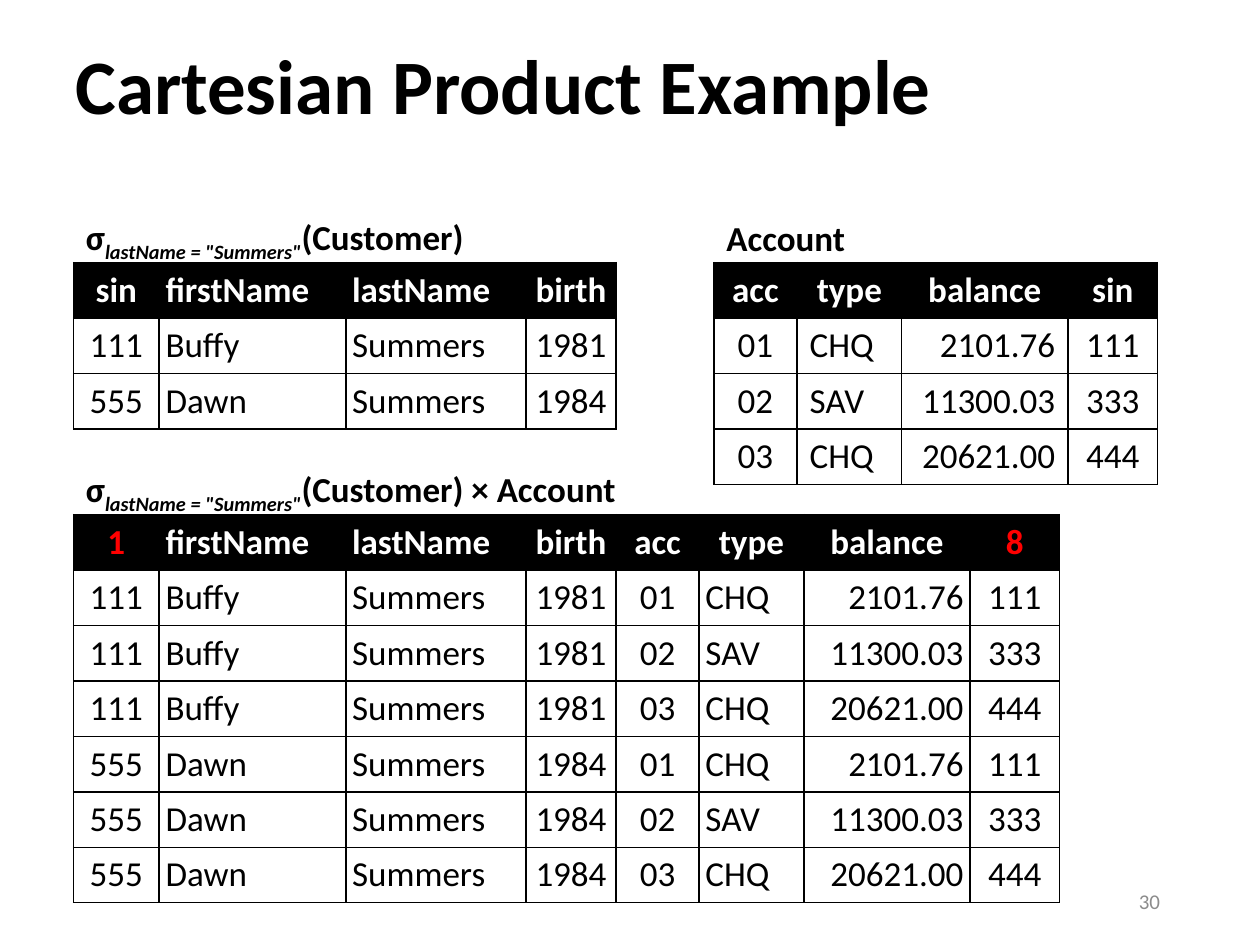
from itertools import product
from lxml.etree import SubElement as Sub
from pptx import Presentation
from pptx.dml.color import RGBColor
from pptx.enum.text import MSO_ANCHOR as Anchor, PP_ALIGN as Align
from pptx.oxml.ns import qn
from pptx.util import Pt

BLACK = RGBColor(0x00, 0x00, 0x00)
WHITE = RGBColor(0xFF, 0xFF, 0xFF)
RED = RGBColor(0xFF, 0x00, 0x00)
GRAY = RGBColor(0x8C, 0x8C, 0x8C)
SIDES = {"l": Align.LEFT, "c": Align.CENTER, "r": Align.RIGHT}


class Deck:
    face = "Calibri"
    size = 20
    row = 31.7
    pad = 3.6

    def __init__(self, slide):
        self.slide = slide

    def style(self, run, color=BLACK, bold=True, size=None):
        font = run.font
        font.name = self.face
        font.size = Pt(size or self.size)
        font.bold = bold
        font.color.rgb = color

    def text(self, box, words, side="l", anchor=Anchor.TOP, space=1.0, **look):
        """Add a text box; each word is a string or a (string, True) subscript."""
        frame = self.slide.shapes.add_textbox(*map(Pt, box)).text_frame
        frame.word_wrap = True
        frame.vertical_anchor = anchor
        para = frame.paragraphs[0]
        para.alignment = SIDES[side]
        para.line_spacing = space
        for word, sub in words:
            run = para.add_run()
            run.text = word
            self.style(run, **look)
            if sub:
                run.font.italic = True
                run._r.get_or_add_rPr().set("baseline", "-25000")

    def border(self, cell):
        props = cell._tc.get_or_add_tcPr()
        for edge in ("lnL", "lnR", "lnT", "lnB"):
            line = Sub(props, qn(f"a:{edge}"), w=str(Pt(1)))
            fill = Sub(line, qn("a:solidFill"))
            Sub(fill, qn("a:srgbClr"), val=str(BLACK))

    def cell(self, cell, word, side, head, color, inset):
        cell.margin_left = cell.margin_right = Pt(inset)
        cell.margin_top = cell.margin_bottom = Pt(self.pad)
        cell.vertical_anchor = Anchor.MIDDLE
        self.border(cell)
        cell.fill.solid()
        cell.fill.fore_color.rgb = BLACK if head else WHITE
        cell.text_frame.text = word
        para = cell.text_frame.paragraphs[0]
        para.alignment = SIDES[side]
        self.style(para.runs[0], color, head)

    def table(self, left, top, cols, rows, sides, heads, inset=3.6, marks=()):
        """Add a table; sides and heads align the body and the header row."""
        frame = self.slide.shapes.add_table(
            len(rows), len(cols), Pt(left), Pt(top),
            Pt(sum(cols)), Pt(self.row * len(rows)))
        grid = frame.table
        grid.first_row = grid.horz_banding = False
        for col, width in zip(grid.columns, cols):
            col.width = Pt(width)
        for r, row in enumerate(rows):
            grid.rows[r].height = Pt(self.row)
            head = r == 0
            for c, word in enumerate(row):
                color = BLACK
                if head:
                    color = RED if c in marks else WHITE
                side = (heads if head else sides)[c]
                self.cell(grid.cell(r, c), word, side, head, color, inset)


def main():
    prs = Presentation()
    prs.slide_width, prs.slide_height = Pt(720), Pt(540)
    deck = Deck(prs.slides.add_slide(prs.slide_layouts[6]))

    # Relations and their column widths
    people = [("111", "Buffy", "Summers", "1981"),
              ("555", "Dawn", "Summers", "1984")]
    accounts = [("01", "CHQ", "2101.76", "111"),
                ("02", "SAV", "11300.03", "333"),
                ("03", "CHQ", "20621.00", "444")]
    names = ("firstName", "lastName", "birth")
    fields = ("acc", "type", "balance")
    wide = [49, 106.6, 103, 51.5]
    slim = [47.5, 59.8, 95, 51.2]
    left, right = 42, 408

    # Title
    deck.text((36, 0, 594, 102), [("Cartesian Product Example", False)],
              anchor=Anchor.MIDDLE, space=0.9, size=44)

    # Tables: customers, accounts and their product
    deck.table(left, 150, wide, [("sin", *names), *people], "cllc", "cllc")
    deck.table(right, 150, slim, [(*fields, "sin"), *accounts],
               "clrc", "cccc", inset=7.2)
    pairs = [a + b for a, b in product(people, accounts)]
    deck.table(left, 294, wide + slim, [("1", *names, *fields, "8"), *pairs],
               "cllcclrc", "cllccccc", marks=(0, 7))

    # Table captions
    pick = [("σ", False), ('lastName = "Summers"', True)]
    deck.text((left, 120, 306, 29), pick + [("(Customer)", False)], space=0.9)
    deck.text((left, 264, 348, 29), pick + [("(Customer) × Account", False)],
              space=0.9)
    deck.text((right, 120, 84, 32), [("Account", False)])

    # Page number
    deck.text((508, 500.4, 162, 28.8), [("30", False)], side="r",
              anchor=Anchor.MIDDLE, color=GRAY, bold=False, size=12)

    prs.save("out.pptx")


if __name__ == "__main__":
    main()
